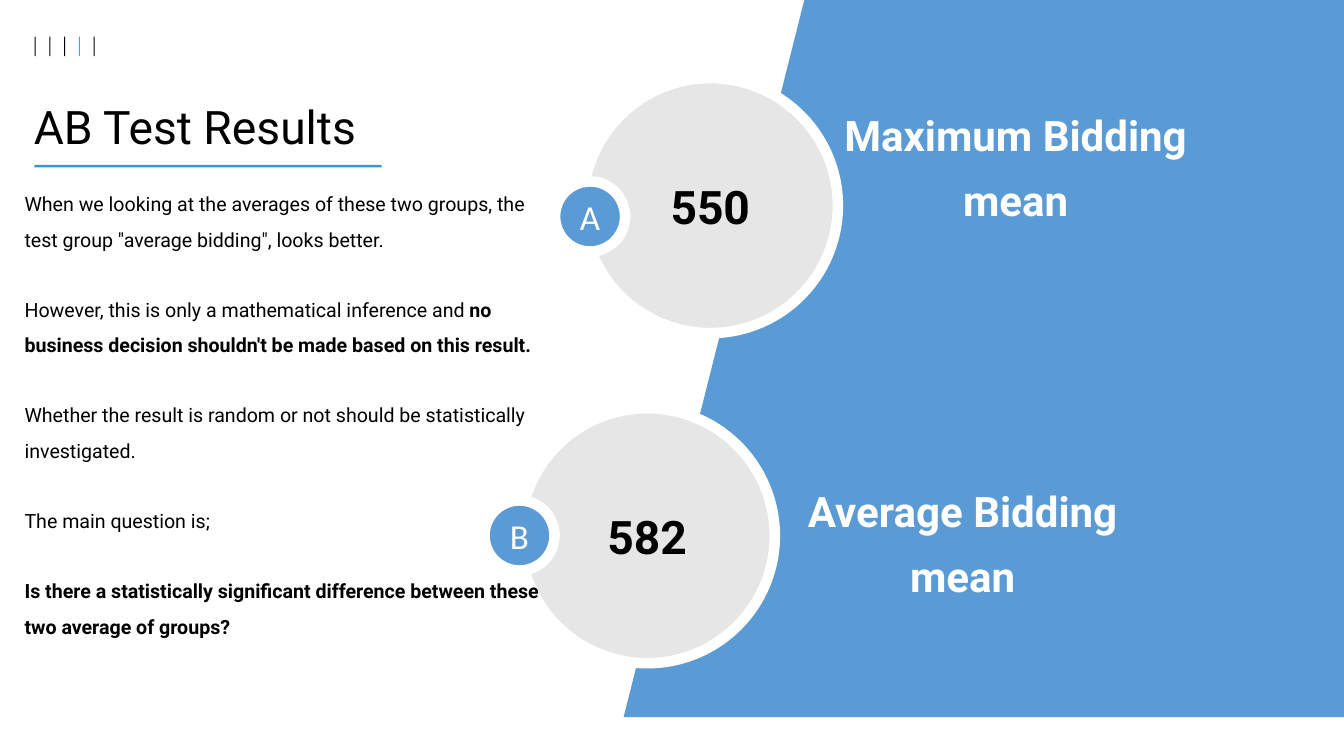
"""Build the AB test results slide on a grid of 100 columns by 100 rows."""
from dataclasses import dataclass

from pptx import Presentation
from pptx import util as u
from pptx.dml.color import RGBColor
from pptx.enum import shapes, text

WIDE, HIGH = u.Inches(26.66), u.Inches(15)
BLUE, BLACK, WHITE, GREY = "5B9BD5", "000000", "FFFFFF", "E7E6E6"
RULE = "3A97D4"
OVAL, RECT = shapes.MSO_SHAPE.OVAL, shapes.MSO_SHAPE.RECTANGLE
MID, LEFT = text.PP_ALIGN.CENTER, text.PP_ALIGN.LEFT

HEAD = {"size": u.Pt(66), "name": "Roboto", "bold": False}
SCORE = {"size": u.Pt(66), "name": "Roboto", "bold": True}
MARK = {"size": u.Pt(50), "name": "Calibri"}
LABEL = {"size": u.Pt(60), "name": "Roboto", "bold": True}
PLAIN = {"size": u.Pt(28), "name": "Roboto", "bold": False}
STRONG = {**PLAIN, "bold": True}


@dataclass
class Box:
    """Place and size in columns and rows."""
    left: float
    top: float
    width: float
    height: float

    def emu(self) -> tuple:
        """Return the four lengths in EMU."""
        return (col(self.left), row(self.top),
                col(self.width), row(self.height))


@dataclass
class Group:
    """One test group: its score, badge letter and label."""
    score: str
    ring: tuple
    mark: str
    badge: tuple
    label: tuple
    spot: tuple


GROUPS = [
    Group("582", (38.67, 54), "B", (36.05, 66.2),
          ("Average Bidding", "mean"), (56.04, 61.53)),
    Group("550", (43.36, 10.33), "A", (41.3, 24),
          ("Maximum Bidding", "mean"), (59.98, 11.8)),
]

STORY = [
    [("When we looking at the averages of these two groups, the test group "
      "\"average bidding\", looks better.", PLAIN)],
    [("However, this is only a mathematical inference and ", PLAIN),
     ("no business decision shouldn't be made based on this result.", STRONG)],
    [("Whether the result is random or not should be statistically "
      "investigated.", PLAIN)],
    [("The main question is;", PLAIN)],
    [("Is there a statistically significant difference between these two "
      "average of groups?", STRONG)],
]


def col(share: float) -> int:
    """Turn columns into EMU."""
    return round(WIDE * share / 100)


def row(share: float) -> int:
    """Turn rows into EMU."""
    return round(HIGH * share / 100)


def tint(code: str) -> RGBColor:
    """Turn a hex string into a colour."""
    return RGBColor.from_string(code)


def dress(item, values: dict) -> None:
    """Set each attribute named in a dict."""
    for key, value in values.items():
        setattr(item, key, value)


def write(frame, paras: list, hue: str, form: dict) -> None:
    """Fill a text frame with paragraphs of (text, font) runs."""
    for num, runs in enumerate(paras):
        para = frame.add_paragraph() if num else frame.paragraphs[0]
        dress(para, form)
        if not num:
            para.space_before = u.Pt(0)
        for words, font in runs:
            run = para.add_run()
            run.text = words
            dress(run.font, font)
            run.font.color.rgb = tint(hue)


def paint(shape, hue: str, edge: str = "") -> None:
    """Give a shape a flat fill and, if asked, a thick outline."""
    shape.shadow.inherit = False
    shape.fill.solid()
    shape.fill.fore_color.rgb = tint(hue)
    if edge:
        shape.line.color.rgb = tint(edge)
        shape.line.width = u.Pt(15)
    else:
        shape.line.fill.background()


def block(slide, box: Box, hue: str) -> None:
    """Draw a plain rectangle."""
    paint(slide.shapes.add_shape(RECT, *box.emu()), hue)


def disc(slide, box: Box, hue: str, words: str, font: dict, ink: str) -> None:
    """Draw an outlined circle with centred text."""
    shape = slide.shapes.add_shape(OVAL, *box.emu())
    paint(shape, hue, WHITE)
    shape.text_frame.vertical_anchor = text.MSO_ANCHOR.MIDDLE
    write(shape.text_frame, [[(words, font)]], ink, {"alignment": MID})


def note(slide, box: Box, paras: list, hue: str, form: dict, side: float) -> None:
    """Draw a wrapping text box."""
    frame = slide.shapes.add_textbox(*box.emu()).text_frame
    dress(frame, {"word_wrap": True, "margin_left": u.Inches(side),
                  "margin_right": u.Inches(side),
                  "margin_top": u.Inches(side / 2),
                  "margin_bottom": u.Inches(side / 2)})
    write(frame, paras, hue, form)


def band(slide) -> None:
    """Draw the slanted panel on the right."""
    spots = [(59.98, -0.93), (100, -0.93), (100, 94.87), (46.4, 94.87)]
    first, *rest = [(col(x), row(y)) for x, y in spots]
    pen = slide.shapes.build_freeform(*first)
    pen.add_line_segments(rest, close=True)
    paint(pen.convert_to_shape(), BLUE)


def title(slide) -> None:
    """Place and format the title."""
    head = slide.shapes.title
    dress(head, dict(zip(("left", "top", "width", "height"),
                         Box(2.14, 12.73, 32.26, 8.07).emu())))
    dress(head.text_frame, {"vertical_anchor": text.MSO_ANCHOR.TOP,
                            "auto_size": text.MSO_AUTO_SIZE.NONE})
    write(head.text_frame, [[("AB Test Results", HEAD)]], BLACK,
          {"alignment": LEFT})


def main() -> None:
    """Build and save the slide."""
    deck = Presentation()
    dress(deck, {"slide_width": WIDE, "slide_height": HIGH})
    slide = deck.slides.add_slide(deck.slide_layouts[5])
    title(slide)
    for num, hue in enumerate((BLACK, BLACK, BLACK, BLUE, BLACK)):
        block(slide, Box(2.57 + 1.1 * num, 4.83, 0.08, 2.6), hue)
    band(slide)
    for item in GROUPS:
        disc(slide, Box(*item.ring, 18.98, 33.73), GREY, item.score, SCORE, BLACK)
        disc(slide, Box(*item.badge, 5.21, 9.27), BLUE, item.mark, MARK, WHITE)
        note(slide, Box(*item.spot, 31.17, 23.2),
             [[(line, LABEL)] for line in item.label], WHITE,
             {"alignment": MID, "line_spacing": 1.3}, 0.2)
    block(slide, Box(2.55, 21.8, 25.84, 0.33), RULE)
    note(slide, Box(1.46, 23.53, 39.16, 61.27), STORY, BLACK,
         {"line_spacing": 1.5, "space_before": u.Pt(50)}, 0.1)
    deck.save("out.pptx")


if __name__ == "__main__":
    main()
